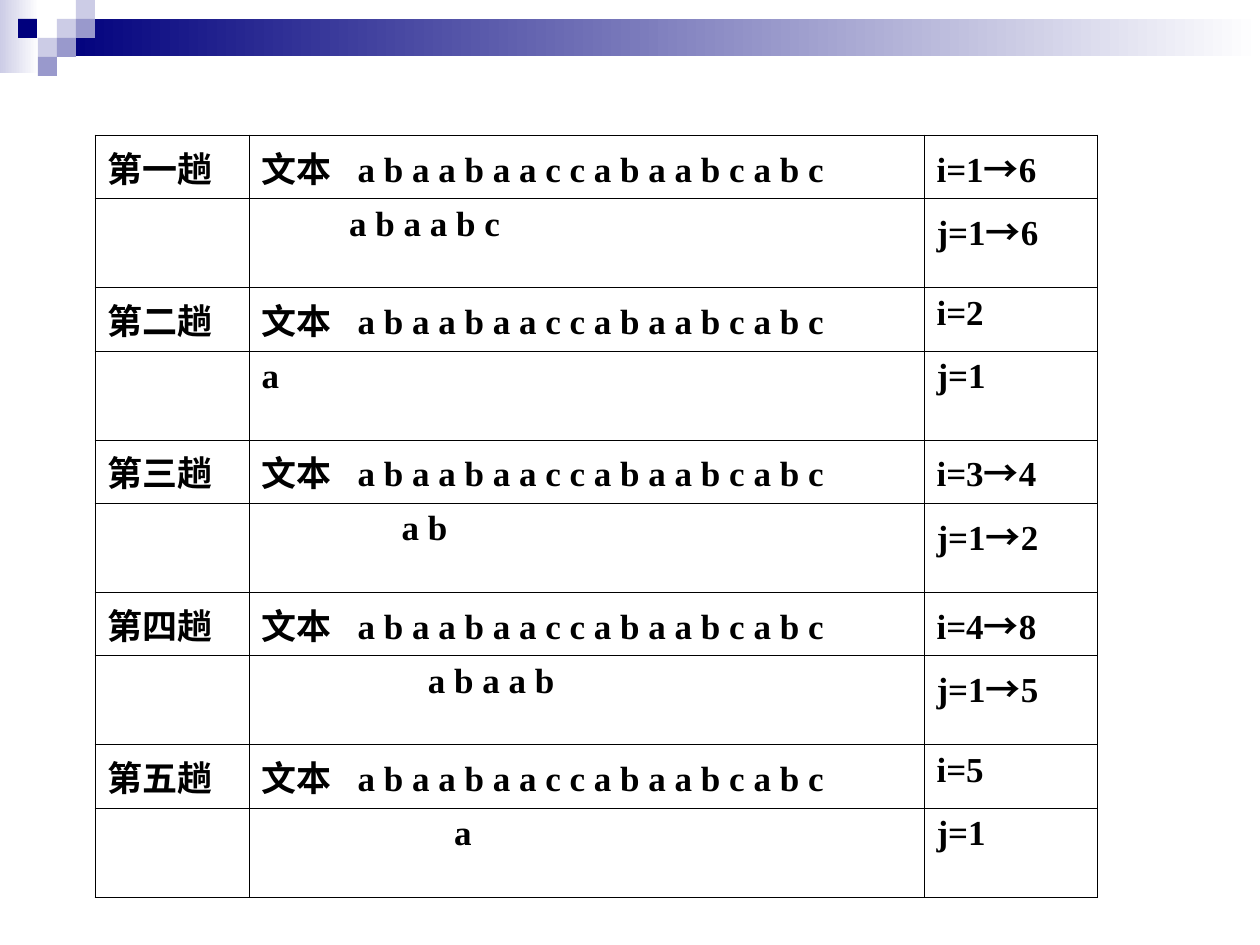
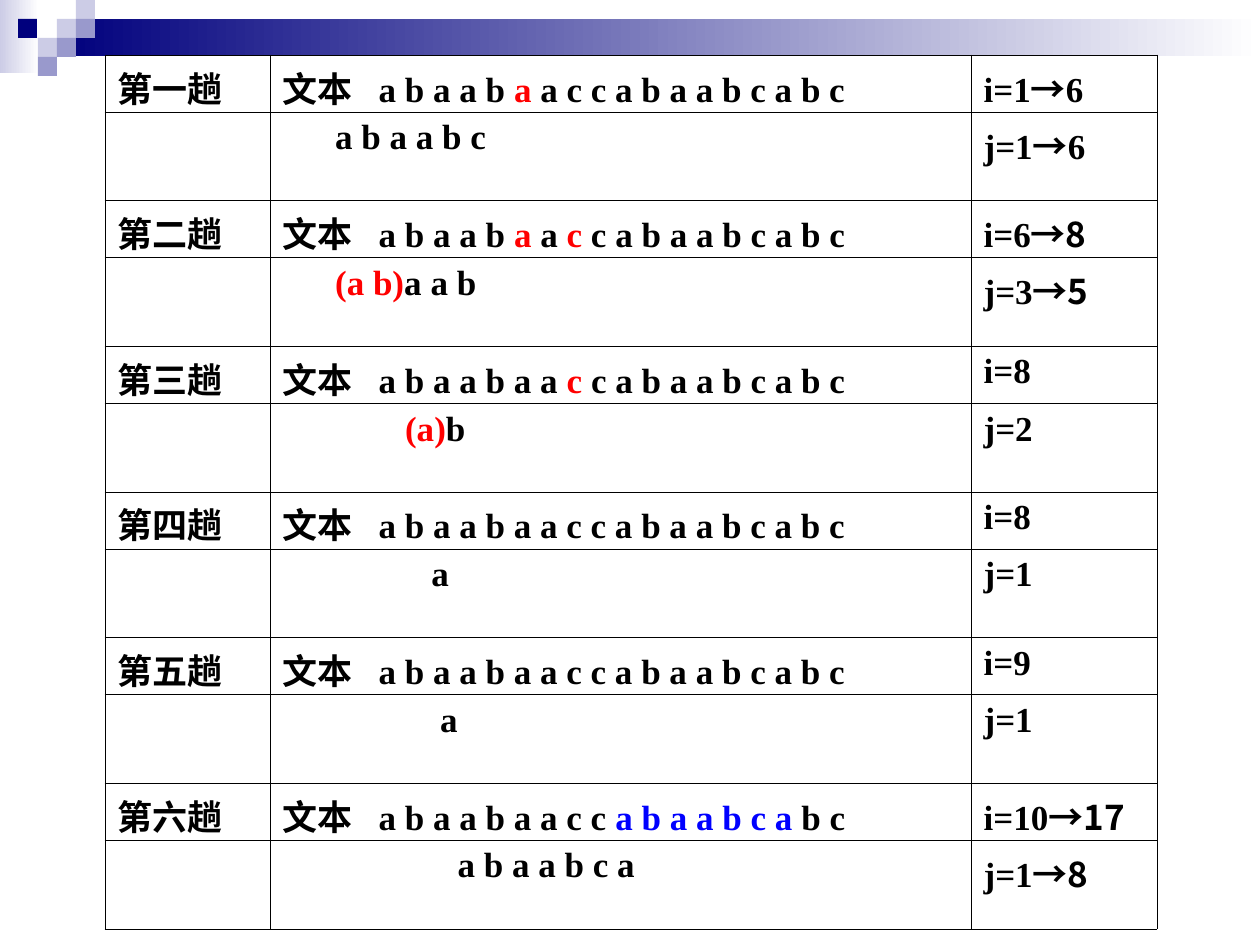
import pptx
import pptx.dml.color
import pptx.enum.shapes
import pptx.oxml
import pptx.oxml.ns
import pptx.util

RGBColor = pptx.dml.color.RGBColor
WHITE = RGBColor(0xFF, 0xFF, 0xFF)
BLACK = RGBColor(0, 0, 0)
NAVY = RGBColor(0, 0, 0x7D)
LAVENDER = RGBColor(0xCC, 0xCC, 0xE6)
PERIWINKLE = RGBColor(0x99, 0x99, 0xCC)
RED = RGBColor(0xFF, 0, 0)
BLUE = RGBColor(0, 0, 0xFF)

LATIN = "Times New Roman"
CJK = "Noto Sans CJK SC"

PX = 914400 / 126
SQUARE = 19
TEXT_TAB = 96       # from the label to the searched text
SPACE_PT = 5        # width of one space at 20 pt

ORDINALS = "一二三四五六"
SEARCHED = "a b a a b a a c c a b a a b c a b c"

# Each pass: searched text, indent of the pattern in spaces, pattern, i, j, highlight.
# Square brackets mark the part that is emphasised.
NAIVE_PASSES = [
    (SEARCHED, 10, "a b a a b c", "i=1[→]6", "j=1[→]6", RED),
    (SEARCHED, 0, "a", "i=2", "j=1", RED),
    (SEARCHED, 16, "a b", "i=3[→]4", "j=1[→]2", RED),
    (SEARCHED, 19, "a b a a b", "i=4[→]8", "j=1[→]5", RED),
    (SEARCHED, 22, "a", "i=5", "j=1", RED),
]
KMP_PASSES = [
    ("a b a a b [a] a c c a b a a b c a b c", 6, "a b a a b c",
     "i=1[→]6", "j=1[→]6", RED),
    ("a b a a b [a] a [c] c a b a a b c a b c", 6, "[(a b)]a a b",
     "i=6[→8]", "j=3[→5]", RED),
    ("a b a a b a a [c ]c a b a a b c a b c", 14, "[(a)]b", "i=8", "j=2", RED),
    (SEARCHED, 17, "a", "i=8", "j=1", RED),
    (SEARCHED, 18, "a", "i=9", "j=1", RED),
    ("a b a a b a a c c[ a b a a b c a] b c", 20, "a b a a b c a",
     "i=10[→17]", "j=1[→8]", BLUE),
]


def px(n):
    return pptx.util.Emu(round(n * PX))


def add_run(p, text, font=LATIN, color=BLACK, size=20, bold=True):
    r = p.add_run()
    r.text = text
    r.font.name = font
    r.font.size = pptx.util.Pt(size)
    r.font.bold = bold
    r.font.color.rgb = color
    ea = pptx.oxml.parse_xml(
        f'<a:ea {pptx.oxml.ns.nsdecls("a")} typeface="{CJK}"/>')
    r.font._element.find(pptx.oxml.ns.qn("a:latin")).addnext(ea)


def write_cell(cell, text, indent=0, tab=None, **emphasis):
    """Write text; its bracketed parts take the format given as emphasis."""
    p = cell.text_frame.paragraphs[0]
    pPr = p._p.get_or_add_pPr()
    if indent:
        pPr.set("marL", str(pptx.util.Pt(indent * SPACE_PT)))
        pPr.set("indent", "0")
    if tab:
        pPr.append(pptx.oxml.parse_xml(
            f'<a:tabLst {pptx.oxml.ns.nsdecls("a")}>'
            f'<a:tab pos="{px(tab)}" algn="l"/></a:tabLst>'))
    for n, part in enumerate(text.replace("]", "[").split("[")):
        if part:
            add_run(p, part, **(emphasis if n % 2 else {}))


def frame_cell(cell, bottom):
    cell.margin_left = cell.margin_right = px(12.6)
    cell.margin_top = px(6.3)
    cell.margin_bottom = px(bottom)
    tcPr = cell._tc.get_or_add_tcPr()
    for side in ("lnL", "lnR", "lnT", "lnB"):
        tcPr.append(pptx.oxml.parse_xml(
            f'<a:{side} {pptx.oxml.ns.nsdecls("a")} w="{pptx.util.Pt(0.45)}">'
            f'<a:solidFill><a:srgbClr val="{BLACK}"/></a:solidFill></a:{side}>'))
    cell.fill.background()


def add_rect(s, x, y, w, h, color, fade=False):
    sp = s.shapes.add_shape(pptx.enum.shapes.MSO_SHAPE.RECTANGLE,
                            px(x), px(y), px(w), px(h))
    sp.shadow.inherit = False
    sp.line.fill.background()
    if fade:
        sp.fill.gradient()
        sp.fill.gradient_angle = 0
        for stop, c in zip(sp.fill.gradient_stops, (color, WHITE)):
            stop.color.rgb = c
    else:
        sp.fill.solid()
        sp.fill.fore_color.rgb = color


def add_header(s):
    add_rect(s, 0, 0, 39, 73, LAVENDER, fade=True)
    add_rect(s, 57, 19, 1203, 37, NAVY, fade=True)
    for x, y, color in [(57, 19, LAVENDER), (76, 0, LAVENDER),
                        (76, 19, PERIWINKLE), (38, 38, LAVENDER),
                        (18, 19, NAVY), (57, 38, PERIWINKLE),
                        (38, 57, PERIWINKLE)]:
        add_rect(s, x, y, SQUARE, SQUARE, color)


def add_pass_table(s, x, y, widths, heights, passes, bottom):
    """Two rows for each pass: the searched text, then the aligned pattern."""
    rows = 2 * len(passes)
    table = s.shapes.add_table(rows, len(widths), px(x), px(y), px(sum(widths)),
                               px(sum(heights) * len(passes))).table
    table.first_row = table.horz_banding = False
    for column, w in zip(table.columns, widths):
        column.width = px(w)
    for n, row in enumerate(table.rows):
        row.height = px(heights[n % 2])
    for cell in table.iter_cells():
        frame_cell(cell, bottom)
    for n, (text, indent, pattern, i, j, color) in enumerate(passes):
        top, low = 2 * n, 2 * n + 1
        write_cell(table.cell(top, 0), f"第{ORDINALS[n]}趟")
        write_cell(table.cell(top, 1), f"文本\t{text}", tab=TEXT_TAB, color=color)
        write_cell(table.cell(top, 2), i, font=CJK)
        write_cell(table.cell(low, 1), pattern, indent=indent, color=color)
        write_cell(table.cell(low, 2), j, font=CJK)


def add_pass_slide(prs, *table):
    s = prs.slides.add_slide(prs.slide_layouts[6])
    add_header(s)
    add_pass_table(s, *table)


def main():
    prs = pptx.Presentation()
    prs.slide_width, prs.slide_height = px(1260), px(945)
    add_pass_slide(prs, 95, 135, (154, 675, 173), (63, 89), NAIVE_PASSES, 6.3)
    add_pass_slide(prs, 105, 55, (165, 701, 186), (55, 88.5), KMP_PASSES, 0)
    prs.save("out.pptx")


if __name__ == "__main__":
    main()
